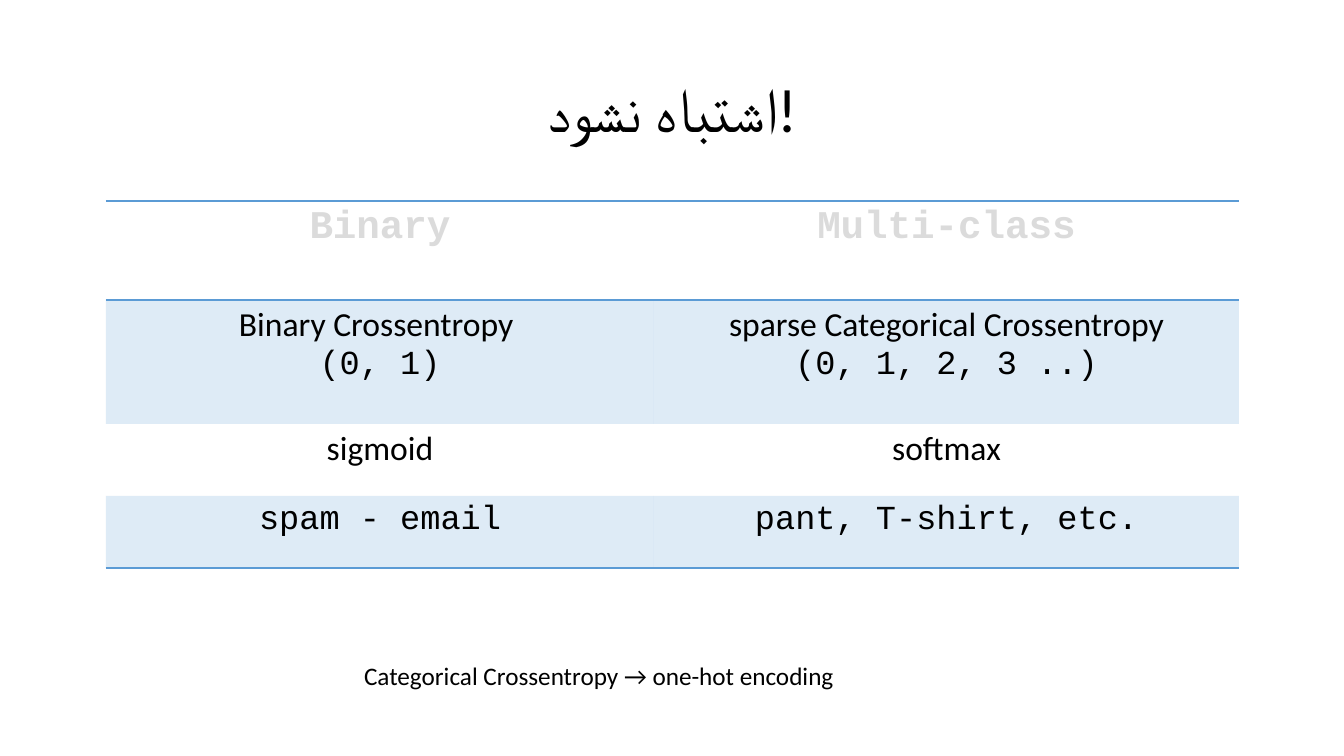
import lxml.etree
import pptx
import pptx.dml.color
import pptx.enum.text
import pptx.oxml.ns
import pptx.util

# Content
HEADING = "اشتباه نشود!"
FOOTNOTE = "Categorical Crossentropy → one-hot encoding"
SANS, MONO = "Calibri", "Courier New"
BLACK, GREY, BLUE = "000000", "DBDBDB", "5B9BD5"
BAND_OPACITY = 20000

# Each row: height in px, banded, border sides, cells as lists of (text, font) lines
COMPARISON = [
    (99, False, "TB", [[("Binary", MONO)], [("Multi-class", MONO)]]),
    (124, True, "", [[("Binary Crossentropy ", SANS), ("(0, 1)", MONO)],
                     [("sparse Categorical Crossentropy", SANS), ("(0, 1, 2, 3 ..)", MONO)]]),
    (72, False, "", [[("sigmoid", SANS)], [("softmax", SANS)]]),
    (72, True, "B", [[("spam - email", MONO)], [("pant, T-shirt, etc.", MONO)]]),
]
COLUMN_WIDTHS = [548, 585]
NO_STYLE = "{2D5ABB26-0587-4C30-8999-92F81FD0307C}"
CENTER = pptx.enum.text.PP_ALIGN.CENTER


def px(length):
    return pptx.util.Emu(round(length * 914400 / 100.8))


def rgb(colour):
    return pptx.dml.color.RGBColor.from_string(colour)


def add_line(paragraph, text, font, size, colour=BLACK, bold=False):
    paragraph.alignment = CENTER
    run = paragraph.add_run()
    run.text = text
    run.font.name = font
    run.font.size = pptx.util.Pt(size)
    run.font.bold = bold
    run.font.color.rgb = rgb(colour)


def sub(parent, tag, **attributes):
    return lxml.etree.SubElement(parent, pptx.oxml.ns.qn(tag), attributes)


def add_border(cell, side):
    border = sub(cell._tc.get_or_add_tcPr(), f"a:ln{side}", w="12700")
    sub(sub(border, "a:solidFill"), "a:srgbClr", val=BLUE)


def fill_band(cell):
    cell.fill.solid()
    cell.fill.fore_color.rgb = rgb(BLUE)
    tint = cell._tc.tcPr.find(".//" + pptx.oxml.ns.qn("a:srgbClr"))
    # The last match is the fill, as borders come first
    for tint in cell._tc.tcPr.iter(pptx.oxml.ns.qn("a:srgbClr")):
        pass
    sub(tint, "a:alpha", val=str(BAND_OPACITY))


def add_heading(slide):
    heading = slide.shapes.title
    heading.left, heading.top, heading.width, heading.height = map(px, (93, 40, 1159, 146))
    heading.text_frame.auto_size = pptx.enum.text.MSO_AUTO_SIZE.NONE
    heading.text_frame.vertical_anchor = pptx.enum.text.MSO_ANCHOR.MIDDLE
    paragraph = heading.text_frame.paragraphs[0]
    paragraph.line_spacing = 0.9
    add_line(paragraph, HEADING, SANS, 44)


def add_comparison(slide):
    height = sum(row[0] for row in COMPARISON)
    frame = slide.shapes.add_table(len(COMPARISON), len(COLUMN_WIDTHS), px(106), px(201),
                                   px(sum(COLUMN_WIDTHS)), px(height))
    table = frame.table
    table.first_row = table.horz_banding = False
    table._tbl.tblPr.find(pptx.oxml.ns.qn("a:tableStyleId")).text = NO_STYLE
    for column, width in zip(table.columns, COLUMN_WIDTHS):
        column.width = px(width)
    for r, (row_height, banded, sides, texts) in enumerate(COMPARISON):
        table.rows[r].height = px(row_height)
        size, colour, bold = (28, GREY, True) if r == 0 else (24, BLACK, False)
        for c, lines in enumerate(texts):
            cell = table.cell(r, c)
            for side in sides:
                add_border(cell, side)
            if banded:
                fill_band(cell)
            else:
                cell.fill.background()
            for i, (text, font) in enumerate(lines):
                body = cell.text_frame
                paragraph = body.add_paragraph() if i else body.paragraphs[0]
                add_line(paragraph, text, font, size, colour, bold)


def add_footnote(slide):
    footnote = slide.shapes.add_textbox(px(350), px(655), px(498), px(40))
    footnote.text_frame.word_wrap = False
    footnote.text_frame.auto_size = pptx.enum.text.MSO_AUTO_SIZE.SHAPE_TO_FIT_TEXT
    add_line(footnote.text_frame.paragraphs[0], FOOTNOTE, SANS, 18)


def main():
    deck = pptx.Presentation()
    deck.slide_width, deck.slide_height = px(1344), px(756)
    slide = deck.slides.add_slide(deck.slide_layouts[5])
    add_heading(slide)
    add_comparison(slide)
    add_footnote(slide)
    deck.save("out.pptx")


if __name__ == "__main__":
    main()
